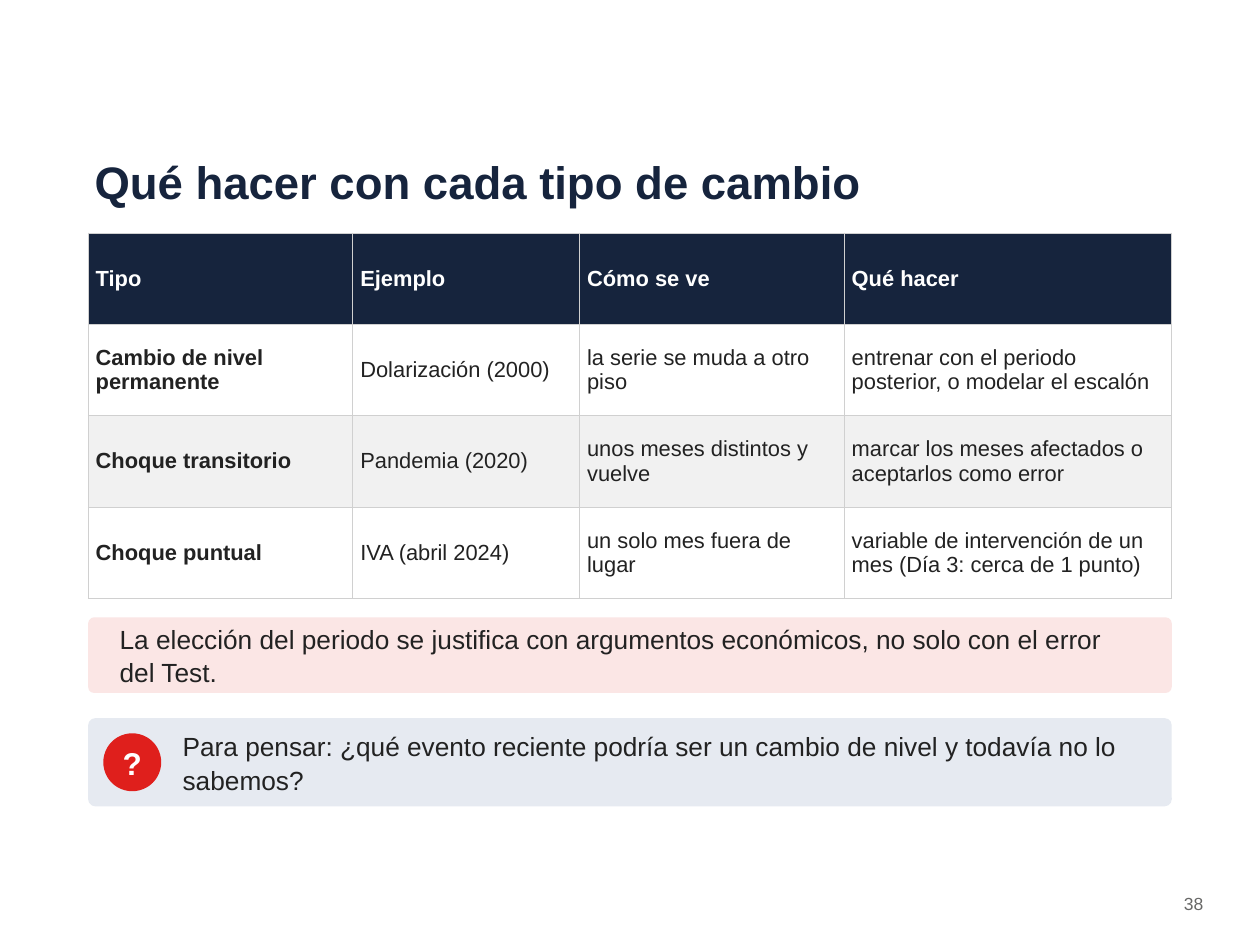
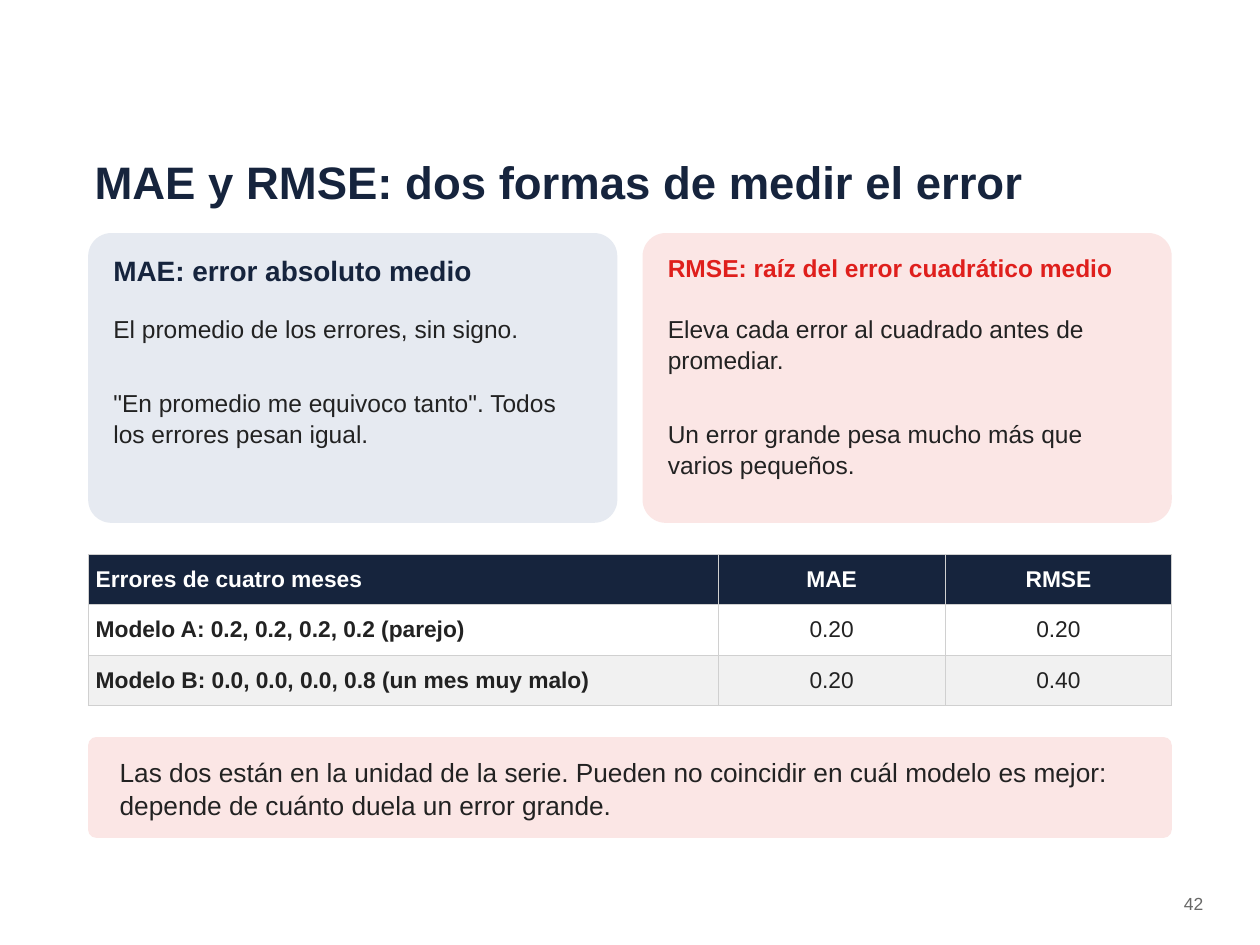
from lxml import etree
from pptx import Presentation
from pptx.dml.color import RGBColor
from pptx.enum.shapes import MSO_SHAPE
from pptx.enum.text import MSO_ANCHOR, MSO_AUTO_SIZE, PP_ALIGN
from pptx.oxml.ns import qn
from pptx.util import Inches, Pt

COLORS = {
    "navy": "16243D", "red": "DF1F1C", "text": "222222", "gray": "686867",
    "white": "FFFFFF", "stripe": "F1F1F1", "border": "D0D0D0",
    "pink": "FBE6E5", "blue": "E6EAF1",
}
FONT = "Arial"
LEFT, WIDTH = 0.7, 8.6

# Slide contents
slides = [
    {
        "title": "Qué hacer con cada tipo de cambio",
        "number": "38",
        "cards": [],
        "table": {
            "top": 1.85, "row_height": 0.725, "size": 12.5,
            "columns": [2.1, 1.8, 2.1, 2.6], "value_align": PP_ALIGN.LEFT,
            "rows": [
                ["Tipo", "Ejemplo", "Cómo se ve", "Qué hacer"],
                ["Cambio de nivel permanente", "Dolarización (2000)",
                 "la serie se muda a otro piso",
                 "entrenar con el periodo posterior, o modelar el escalón"],
                ["Choque transitorio", "Pandemia (2020)",
                 "unos meses distintos y vuelve",
                 "marcar los meses afectados o aceptarlos como error"],
                ["Choque puntual", "IVA (abril 2024)",
                 "un solo mes fuera de lugar",
                 "variable de intervención de un mes (Día 3: cerca de 1 punto)"],
            ],
        },
        "callout": (4.9, 0.6, "La elección del periodo se justifica con argumentos "
                    "económicos, no solo con el error del Test."),
        "question": "Para pensar: ¿qué evento reciente podría ser un cambio de nivel "
                    "y todavía no lo sabemos?",
    },
    {
        "title": "MAE y RMSE: dos formas de medir el error",
        "number": "42",
        "cards": [
            ("MAE: error absoluto medio", 16, "navy", "blue",
             ["El promedio de los errores, sin signo.",
              '"En promedio me equivoco tanto". Todos los errores pesan igual.']),
            ("RMSE: raíz del error cuadrático medio", 14, "red", "pink",
             ["Eleva cada error al cuadrado antes de promediar.",
              "Un error grande pesa mucho más que varios pequeños."]),
        ],
        "table": {
            "top": 4.4, "row_height": 0.4, "size": 13,
            "columns": [5, 1.8, 1.8], "value_align": PP_ALIGN.CENTER,
            "rows": [
                ["Errores de cuatro meses", "MAE", "RMSE"],
                ["Modelo A: 0.2, 0.2, 0.2, 0.2 (parejo)", "0.20", "0.20"],
                ["Modelo B: 0.0, 0.0, 0.0, 0.8 (un mes muy malo)", "0.20", "0.40"],
            ],
        },
        "callout": (5.85, 0.8, "Las dos están en la unidad de la serie. Pueden no "
                    "coincidir en cuál modelo es mejor: depende de cuánto duela "
                    "un error grande."),
        "question": None,
    },
]


def write(shape, texts, size, color="text", bold=False, align=PP_ALIGN.LEFT,
          anchor=MSO_ANCHOR.TOP, gap=4, margins=(0.05, 0.03)):
    frame = shape.text_frame
    frame.word_wrap = True
    frame.auto_size = MSO_AUTO_SIZE.NONE
    frame.vertical_anchor = anchor
    frame.margin_left = frame.margin_right = Inches(margins[0])
    frame.margin_top = frame.margin_bottom = Inches(margins[1])
    for index, text in enumerate(texts):
        paragraph = frame.add_paragraph() if index else frame.paragraphs[0]
        paragraph.text = text
        paragraph.alignment = align
        paragraph.line_spacing = 1.05
        paragraph.space_after = Pt(gap)
        font = paragraph.font
        font.name, font.size, font.bold = FONT, Pt(size), bold
        font.color.rgb = RGBColor.from_string(COLORS[color])


def add_panel(slide, kind, box, fill):
    shape = slide.shapes.add_shape(kind, *map(Inches, box))
    shape.shadow.inherit = False
    shape.fill.solid()
    shape.fill.fore_color.rgb = RGBColor.from_string(COLORS[fill])
    shape.line.fill.background()
    if kind == MSO_SHAPE.ROUNDED_RECTANGLE:
        shape.adjustments[0] = 0.08
    return shape


presentation = Presentation()
presentation.slide_width = Inches(10)
presentation.slide_height = Inches(7.5)

for content in slides:
    slide = presentation.slides.add_slide(presentation.slide_layouts[5])

    # Title and page number
    title = slide.shapes.title
    title.left, title.top = Inches(LEFT), Inches(1.05)
    title.width, title.height = Inches(WIDTH), Inches(0.75)
    write(title, [content["title"]], 26, "navy", True, anchor=MSO_ANCHOR.MIDDLE)
    number = slide.shapes.add_textbox(Inches(9), Inches(7.05), Inches(0.6), Inches(0.3))
    write(number, [content["number"]], 10, "gray", align=PP_ALIGN.RIGHT)

    # Definition cards
    for index, (heading, size, color, fill, lines) in enumerate(content["cards"]):
        left = LEFT + index * 4.4
        add_panel(slide, MSO_SHAPE.ROUNDED_RECTANGLE, (left, 1.85, 4.2, 2.3), fill)
        heading_box = slide.shapes.add_textbox(
            Inches(left + 0.15), Inches(1.97), Inches(3.9), Inches(0.45))
        write(heading_box, [heading], size, color, True)
        body_box = slide.shapes.add_textbox(
            Inches(left + 0.15), Inches(2.45), Inches(3.9), Inches(1.6))
        write(body_box, lines, 14, gap=25)

    # Table
    data = content["table"]
    rows = data["rows"]
    table = slide.shapes.add_table(
        len(rows), len(rows[0]), Inches(LEFT), Inches(data["top"]),
        Inches(WIDTH), Inches(data["row_height"] * len(rows))).table
    for column, width in zip(table.columns, data["columns"]):
        column.width = Inches(width)
    for row_index, row in enumerate(rows):
        header = row_index == 0
        fill = "navy" if header else "white" if row_index % 2 else "stripe"
        for column_index, text in enumerate(row):
            cell = table.cell(row_index, column_index)
            cell.text = text
            cell.vertical_anchor = MSO_ANCHOR.MIDDLE
            cell.margin_left = cell.margin_right = Inches(0.06)
            cell.margin_top = cell.margin_bottom = Inches(0.03)
            paragraph = cell.text_frame.paragraphs[0]
            paragraph.alignment = data["value_align"] if column_index else PP_ALIGN.LEFT
            font = paragraph.font
            font.name, font.size = FONT, Pt(data["size"])
            font.bold = header or column_index == 0
            font.color.rgb = RGBColor.from_string(COLORS["white" if header else "text"])
            # Borders come before the fill in the cell properties
            properties = cell._tc.get_or_add_tcPr()
            for side in ("a:lnL", "a:lnR", "a:lnT", "a:lnB"):
                line = etree.SubElement(properties, qn(side), w=str(Pt(0.5)))
                solid = etree.SubElement(line, qn("a:solidFill"))
                etree.SubElement(solid, qn("a:srgbClr"), val=COLORS["border"])
            cell.fill.solid()
            cell.fill.fore_color.rgb = RGBColor.from_string(COLORS[fill])

    # Callout
    top, height, text = content["callout"]
    add_panel(slide, MSO_SHAPE.ROUNDED_RECTANGLE, (LEFT, top, WIDTH, height), "pink")
    callout = slide.shapes.add_textbox(
        Inches(0.9), Inches(top), Inches(8.2), Inches(height))
    write(callout, [text], 15, anchor=MSO_ANCHOR.MIDDLE)

    # Question to think about
    if content["question"]:
        add_panel(slide, MSO_SHAPE.ROUNDED_RECTANGLE, (LEFT, 5.7, WIDTH, 0.7), "blue")
        badge = add_panel(slide, MSO_SHAPE.OVAL, (0.82, 5.82, 0.46, 0.46), "red")
        write(badge, ["?"], 18, "white", True, PP_ALIGN.CENTER, MSO_ANCHOR.MIDDLE,
              gap=0, margins=(0, 0))
        question = slide.shapes.add_textbox(
            Inches(1.4), Inches(5.7), Inches(7.8), Inches(0.7))
        write(question, [content["question"]], 15, anchor=MSO_ANCHOR.MIDDLE)

presentation.save("out.pptx")
